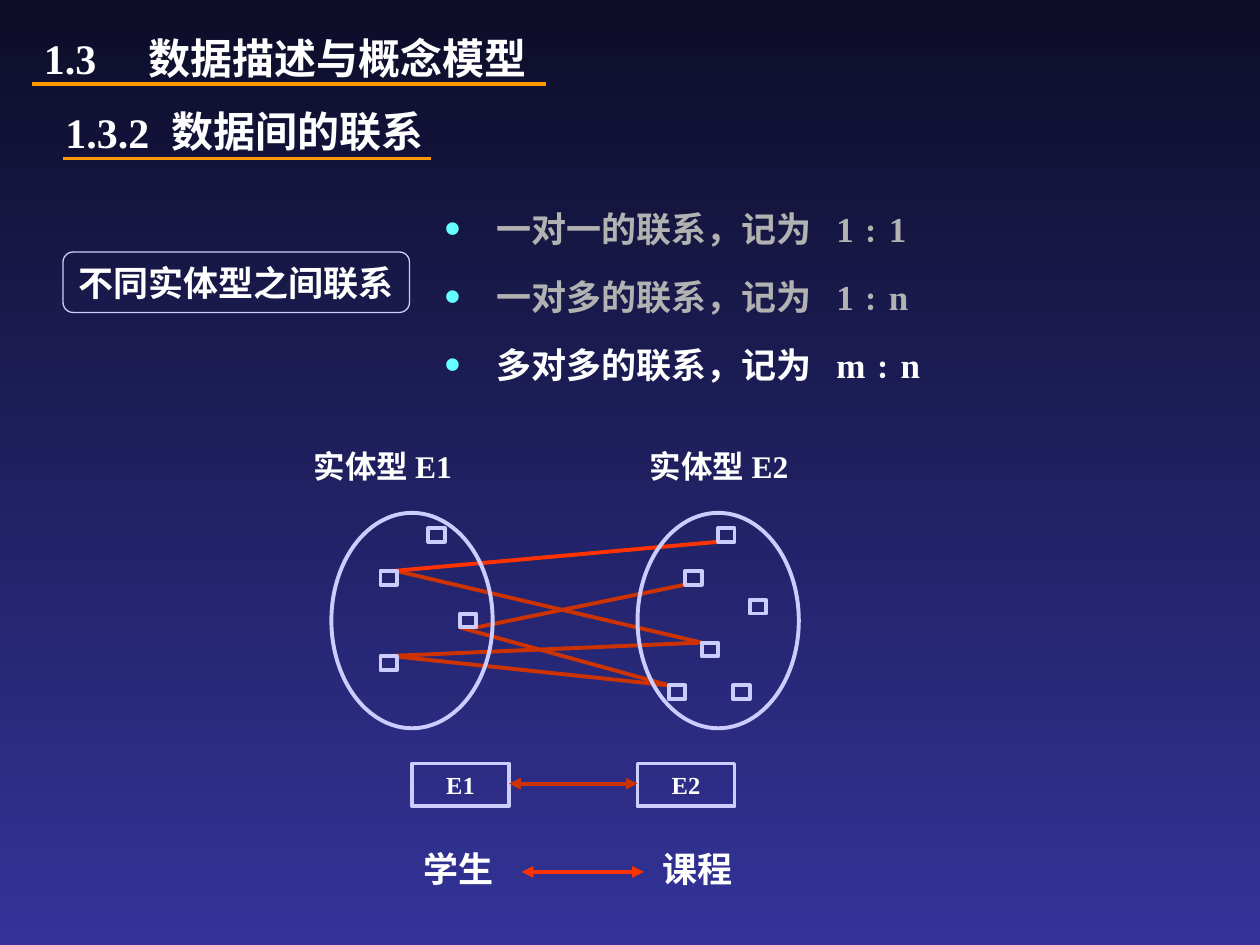
from pptx import Presentation
from pptx.dml.color import RGBColor
from pptx.enum.shapes import MSO_CONNECTOR, MSO_SHAPE
from pptx.enum.text import MSO_ANCHOR, PP_ALIGN
from pptx.oxml.ns import qn
from pptx.util import Inches, Pt
from lxml.etree import SubElement

NIGHT = RGBColor(0x0D, 0x0D, 0x28)
BLUE = RGBColor(0x33, 0x33, 0x99)
WHITE = RGBColor(0xFF, 0xFF, 0xFF)
GREY = RGBColor(0xB2, 0xB2, 0xB2)
CYAN = RGBColor(0x66, 0xFF, 0xFF)
LILAC = RGBColor(0xCC, 0xCC, 0xFF)
GOLD = RGBColor(0xFF, 0x99, 0x00)
RUST = RGBColor(0xCC, 0x33, 0x00)
RED = RGBColor(0xFF, 0x33, 0x00)
TIMES = "Times New Roman"
NOTO = "Noto Sans CJK SC"


def add_run(para, text, size, color=WHITE, face=TIMES):
    """Add one bold run, with Chinese set in the sans face."""
    run = para.add_run()
    run.text = text
    font = run.font
    font.size, font.bold, font.name = Pt(size), True, face
    font.color.rgb = color
    SubElement(font._element, qn("a:ea"), typeface=NOTO)


def add_tab(para, pos):
    """Set one left tab stop, measured from the text edge."""
    tabs = SubElement(para._p.get_or_add_pPr(), qn("a:tabLst"))
    SubElement(tabs, qn("a:tab"), pos=str(Inches(pos)), algn="l")


def add_text(slide, box):
    """Add a wrapping text box and return its frame."""
    frame = slide.shapes.add_textbox(*map(Inches, box)).text_frame
    frame.word_wrap = True
    return frame


def add_label(slide, box, text, size):
    """Add a caption that stays on one line."""
    frame = add_text(slide, box)
    frame.word_wrap = False
    frame.margin_right = 0
    add_run(frame.paragraphs[0], text, size)


def add_line(slide, start, end, color, width=2.25, arrow=False):
    """Draw a straight line, with heads at both ends on request."""
    link = slide.shapes.add_connector(
        MSO_CONNECTOR.STRAIGHT, *map(Inches, (*start, *end)))
    link.line.color.rgb = color
    link.line.width = Pt(width)
    SubElement(link._element.spPr, qn("a:effectLst"))
    if arrow:
        for tag in ("a:headEnd", "a:tailEnd"):
            SubElement(link.line._get_or_add_ln(), qn(tag), type="triangle")


def add_frame(slide, kind, box, width=2.25):
    """Draw an unfilled outline shape."""
    shape = slide.shapes.add_shape(kind, *map(Inches, box))
    shape.shadow.inherit = False
    shape.fill.background()
    shape.line.color.rgb = LILAC
    shape.line.width = Pt(width)
    return shape


def add_heads(slide, box):
    """Place the section and topic headings with their rules."""
    left, top, width, height = box
    para = add_text(slide, (left, top, width, height)).paragraphs[0]
    add_tab(para, 0.83)
    add_run(para, "1.3\t", 24)
    add_run(para, "数据描述与概念模型", 24, face=NOTO)
    add_line(slide, (left, top + 0.46), (left + 4.08, top + 0.46), GOLD)
    para = add_text(slide, (left + 0.17, top + 0.59, 0.95, height)).paragraphs[0]
    add_run(para, "1.3.2", 24)
    frame = add_text(slide, (left + 1.01, top + 0.58, 3.78, height))
    frame.vertical_anchor = MSO_ANCHOR.MIDDLE
    add_run(frame.paragraphs[0], "数据间的联系", 24, face=NOTO)
    add_line(slide, (left + 0.25, top + 1.05), (left + 3.17, top + 1.05), GOLD, 1.5)


def add_list(slide, box):
    """List the three kinds of relation as bullets."""
    frame = add_text(slide, box)
    items = [("一对一", "1﹕1", GREY), ("一对多", "1﹕n", GREY), ("多对多", "m﹕n", WHITE)]
    for i, (name, ratio, color) in enumerate(items):
        para = frame.add_paragraph() if i else frame.paragraphs[0]
        para.line_spacing = 1.3
        para.space_before = Pt(7.5 if i else 0)
        props = para._p.get_or_add_pPr()
        props.set("marL", str(Inches(0.42)))
        props.set("indent", str(Inches(-0.42)))
        tint = SubElement(props, qn("a:buClr"))
        SubElement(tint, qn("a:srgbClr"), val=str(CYAN))
        SubElement(props, qn("a:buSzPct"), val="150000")
        SubElement(props, qn("a:buFont"), typeface=TIMES)
        SubElement(props, qn("a:buChar"), char="•")
        add_tab(para, 3.12)
        add_run(para, f"{name}的联系，记为\t{ratio}", 20, color)


def add_tag(slide, box):
    """Place the rounded tag that names the list."""
    shape = add_frame(slide, MSO_SHAPE.FLOWCHART_ALTERNATE_PROCESS, box, 0.75)
    frame = shape.text_frame
    frame.word_wrap = False
    frame.vertical_anchor = MSO_ANCHOR.MIDDLE
    para = frame.paragraphs[0]
    para.alignment = PP_ALIGN.CENTER
    add_run(para, "不同实体型之间联系", 20)


def add_sets(slide, box):
    """Draw both entity sets, their members and the links between them."""
    left, top, width, height = box
    oval = 1.28
    right = left + width - oval
    links = [((0.51, 0.46), (2.94, 1.03), RUST), ((2.81, 0.57), (1.15, 0.91), RUST),
             ((0.51, 1.14), (2.68, 1.37), RUST), ((2.94, 1.03), (0.38, 1.14), RUST),
             ((2.68, 1.37), (1.02, 0.91), RUST), ((0.51, 0.46), (3.07, 0.23), RED)]
    for (x, y), (u, v), color in links:
        add_line(slide, (left + x, top + y), (left + u, top + v), color)
    for name, x, shift in (("E1", left, -0.24), ("E2", right, 0)):
        add_frame(slide, MSO_SHAPE.OVAL, (x, top, oval, height))
        add_label(slide, (x + shift, top - 0.57, 1.36, 0.4), f"实体型 {name}", 18)
    spots = [(0.77, 0.12), (0.39, 0.46), (1.02, 0.8), (0.39, 1.14), (2.81, 0.46),
             (2.94, 1.03), (3.32, 0.69), (3.19, 1.37), (2.68, 1.37), (3.07, 0.12)]
    for x, y in spots:
        add_frame(slide, MSO_SHAPE.RECTANGLE, (left + x, top + y, 0.13, 0.11))


def add_pairs(slide, box):
    """Show the relation between E1 and E2 and its example below."""
    left, top, width, height = box
    wide = 0.77
    right = left + width - wide
    for name, sample, x, shift in (("E1", "学生", left, -0.01),
                                   ("E2", "课程", right, 0.1)):
        shape = add_frame(slide, MSO_SHAPE.RECTANGLE, (x, top, wide, 0.34))
        shape.text_frame.vertical_anchor = MSO_ANCHOR.MIDDLE
        para = shape.text_frame.paragraphs[0]
        para.alignment = PP_ALIGN.CENTER
        add_run(para, name, 14)
        add_label(slide, (x + shift, top + height - 0.44, 0.75, 0.44), sample, 20)
    for start, end, drop, color in ((left + wide, right, 0.16, RUST),
                                    (left + 0.87, right + 0.05, 0.86, RED)):
        add_line(slide, (start, top + drop), (end, top + drop), color, arrow=True)


def main():
    """Build the slide and save it."""
    deck = Presentation()
    deck.slide_width, deck.slide_height = Inches(10), Inches(7.5)
    slide = deck.slides.add_slide(deck.slide_layouts[6])
    fill = slide.background.fill
    fill.gradient()
    fill.gradient_angle = 270
    for stop, color, place in zip(fill.gradient_stops, (NIGHT, BLUE), (0, 1)):
        stop.color.rgb = color
        stop.position = place
    add_heads(slide, (0.25, 0.21, 4.25, 0.5))
    add_list(slide, (3.42, 1.5, 4.17, 1.61))
    add_sets(slide, (2.63, 4.07, 3.71, 1.71))
    add_pairs(slide, (3.27, 6.06, 2.56, 1.06))
    add_tag(slide, (0.5, 2, 2.75, 0.48))
    deck.save("out.pptx")


if __name__ == "__main__":
    main()
